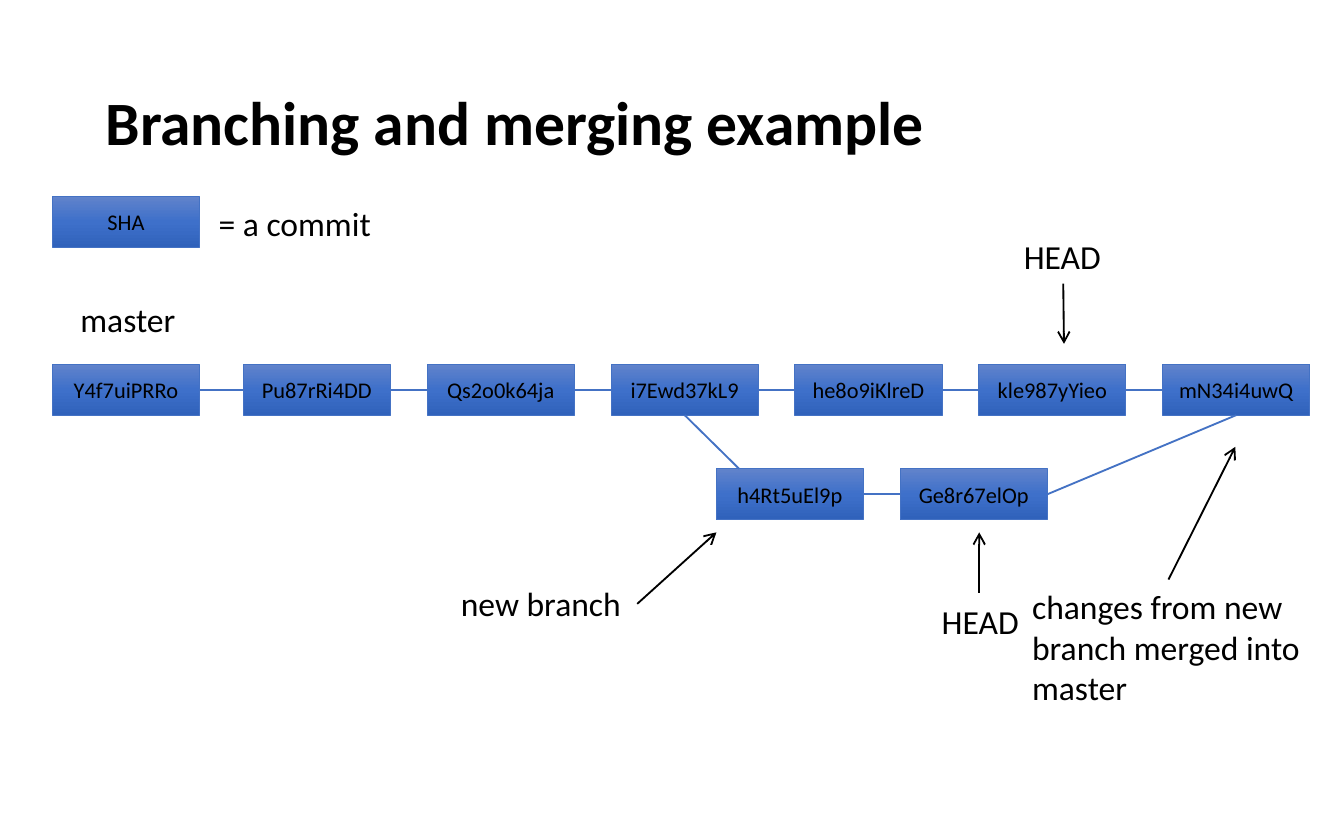
"""Build a slide that explains branching and merging with a commit graph."""
from copy import deepcopy
from dataclasses import dataclass
from itertools import pairwise
from typing import NamedTuple

from lxml.etree import SubElement
from pptx import Presentation
from pptx.dml.color import RGBColor
from pptx.enum.shapes import MSO_CONNECTOR, MSO_SHAPE
from pptx.enum.text import MSO_ANCHOR, MSO_AUTO_SIZE, PP_ALIGN
from pptx.oxml.ns import qn
from pptx.util import Pt


@dataclass(frozen=True)
class Theme:
    font: str = "Calibri"
    ink: RGBColor = RGBColor(0, 0, 0)
    edge: RGBColor = RGBColor(0x44, 0x72, 0xC4)
    gradient: tuple[tuple[float, str], ...] = ((0, "6183CB"), (0.5, "3E70CA"), (1, "3062BB"))
    title_size: float = 33
    label_size: float = 18
    commit_size: float = 12
    edge_width: float = 0.5
    line_width: float = 1


class Point(NamedTuple):
    x: float
    y: float


class Label(NamedTuple):
    text: str
    left: float
    top: float
    width: float
    height: float = 29


class Arrow(NamedTuple):
    start: Point
    end: Point


THEME = Theme()
COMMIT_WIDTH, COMMIT_HEIGHT, COMMIT_PITCH = 78.8, 27.2, 98.5
LEFT_EDGE, LEGEND_TOP = 28.1, 105.3
MASTER_LEFT, MASTER_TOP = 130.4, 195.2
BRANCH_LEFT, BRANCH_TOP = 383.8, 251.2
BOTTOM, LEFT, RIGHT = 2, 1, 3

MASTER_NAMES = ("Pu87rRi4DD", "Qs2o0k64ja", "i7Ewd37kL9", "he8o9iKlreD", "kle987yYieo", "mN34i4uwQ")
BRANCH_NAMES = ("h4Rt5uEl9p", "Ge8r67elOp")
FORK_INDEX = 3

LABELS = (
    Label("master", 36, 156.5, 66.2),
    Label("= a commit", 110, 105, 97.2),
    Label("new branch", 239.8, 308.9, 101.5),
    Label("changes from new\nbranch merged into\nmaster", 545.8, 310.5, 159.8, 72.7),
    Label("HEAD", 541.4, 123, 56.2),
    Label("HEAD", 497.4, 318.4, 56.2),
)
ARROWS = (
    Arrow(Point(341.4, 323.5), Point(383.8, 285.2)),
    Arrow(Point(626, 310.5), Point(661.8, 239.4)),
    Arrow(Point(569.6, 152), Point(570, 184.2)),
    Arrow(Point(524.6, 317.5), Point(524.6, 285.2)),
)


def write_text(shape, text: str, *, size: float, bold: bool = False,
               alignment=PP_ALIGN.LEFT, anchor=MSO_ANCHOR.TOP,
               wrap: bool = True, grow: bool = False, line_spacing: float = 1.0) -> None:
    frame = shape.text_frame
    frame.word_wrap = wrap
    frame.auto_size = MSO_AUTO_SIZE.SHAPE_TO_FIT_TEXT if grow else MSO_AUTO_SIZE.NONE
    frame.vertical_anchor = anchor
    frame.text = text
    for paragraph in frame.paragraphs:
        paragraph.alignment = alignment
        paragraph.line_spacing = line_spacing
        for run in paragraph.runs:
            run.font.name = THEME.font
            run.font.size = Pt(size)
            run.font.bold = bold
            run.font.color.rgb = THEME.ink


def add_label(slide, label: Label) -> None:
    box = slide.shapes.add_textbox(Pt(label.left), Pt(label.top), Pt(label.width), Pt(label.height))
    write_text(box, label.text, size=THEME.label_size, wrap=False, grow=True)


def add_commit(slide, name: str, left: float, top: float):
    commit = slide.shapes.add_shape(
        MSO_SHAPE.RECTANGLE, Pt(left), Pt(top), Pt(COMMIT_WIDTH), Pt(COMMIT_HEIGHT))
    commit.shadow.inherit = False
    commit.fill.gradient()
    stop_list = commit.element.spPr.find(qn("a:gradFill")).find(qn("a:gsLst"))
    stop_list.append(deepcopy(stop_list[0]))
    for stop, (position, color) in zip(commit.fill.gradient_stops, THEME.gradient):
        stop.position = position
        stop.color.rgb = RGBColor.from_string(color)
    commit.fill.gradient_angle = 270
    commit.line.color.rgb = THEME.edge
    commit.line.width = Pt(THEME.edge_width)
    write_text(commit, name, size=THEME.commit_size,
               alignment=PP_ALIGN.CENTER, anchor=MSO_ANCHOR.MIDDLE)
    return commit


def add_commit_row(slide, names: tuple[str, ...], left: float, top: float) -> list:
    return [add_commit(slide, name, left + index * COMMIT_PITCH, top)
            for index, name in enumerate(names)]


def add_line(slide, start: Point, end: Point, color: RGBColor):
    line = slide.shapes.add_connector(
        MSO_CONNECTOR.STRAIGHT, Pt(start.x), Pt(start.y), Pt(end.x), Pt(end.y))
    line.line.color.rgb = color
    line.line.width = Pt(THEME.line_width)
    SubElement(line.element.spPr, qn("a:effectLst"))
    return line


def add_arrow(slide, arrow: Arrow) -> None:
    line = add_line(slide, arrow.start, arrow.end, THEME.ink)
    SubElement(line.element.spPr.find(qn("a:ln")), qn("a:tailEnd"), type="arrow")


def join_commits(slide, first, second, first_side: int = RIGHT, second_side: int = LEFT) -> None:
    line = add_line(slide, Point(0, 0), Point(0, 0), THEME.edge)
    line.begin_connect(first, first_side)
    line.end_connect(second, second_side)


def main() -> None:
    presentation = Presentation()
    presentation.slide_width, presentation.slide_height = Pt(720), Pt(450)
    slide = presentation.slides.add_slide(presentation.slide_layouts[6])

    title = slide.shapes.add_textbox(Pt(49.5), Pt(24), Pt(621), Pt(87))
    write_text(title, "Branching and merging example", size=THEME.title_size, bold=True,
               anchor=MSO_ANCHOR.MIDDLE, line_spacing=0.9)

    add_commit(slide, "SHA", LEFT_EDGE, LEGEND_TOP)
    first_commit = add_commit(slide, "Y4f7uiPRRo", LEFT_EDGE, MASTER_TOP)
    master = [first_commit, *add_commit_row(slide, MASTER_NAMES, MASTER_LEFT, MASTER_TOP)]
    branch = add_commit_row(slide, BRANCH_NAMES, BRANCH_LEFT, BRANCH_TOP)

    for row in (master, branch):
        for first, second in pairwise(row):
            join_commits(slide, first, second)
    join_commits(slide, branch[-1], master[-1], RIGHT, BOTTOM)
    fork = add_line(slide, Point(0, 0), Point(396, BRANCH_TOP), THEME.edge)
    fork.begin_connect(master[FORK_INDEX], BOTTOM)

    for label in LABELS:
        add_label(slide, label)
    for arrow in ARROWS:
        add_arrow(slide, arrow)

    presentation.save("out.pptx")


if __name__ == "__main__":
    main()
